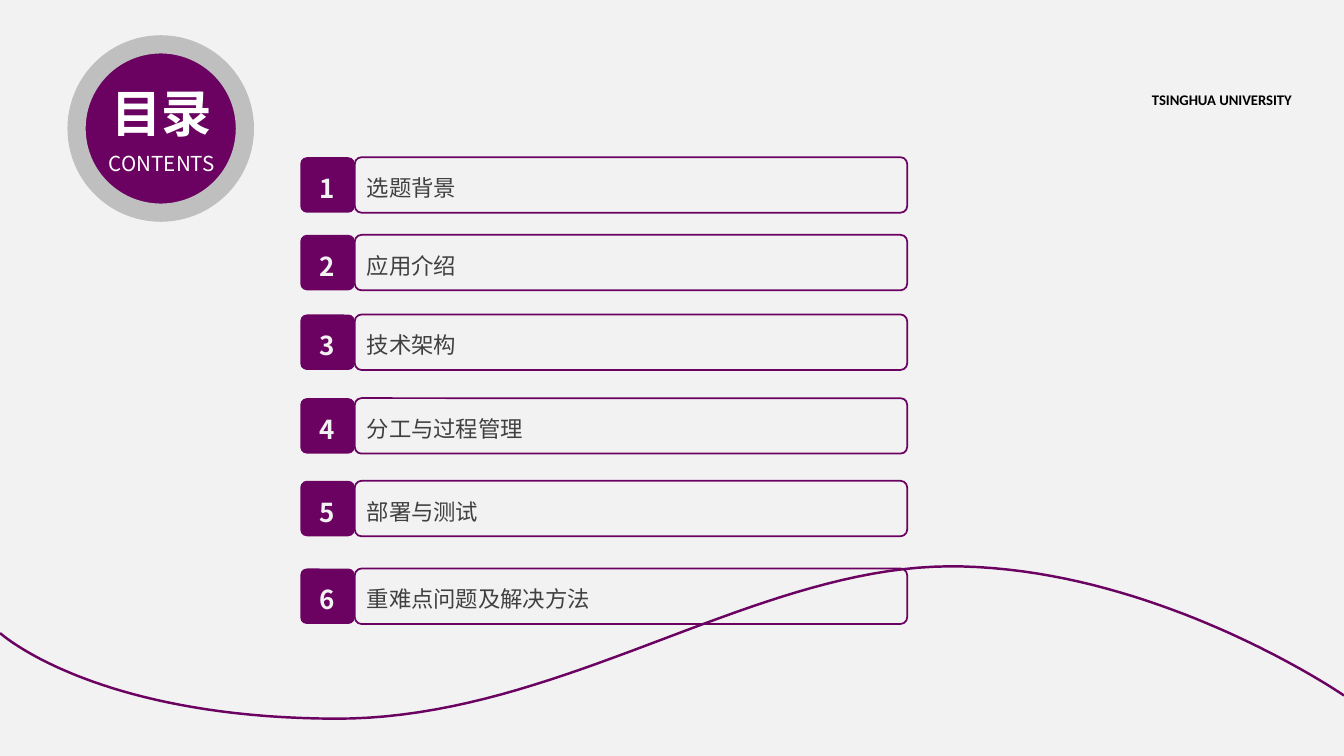
from pptx import Presentation
from pptx.dml.color import RGBColor
from pptx.enum.shapes import MSO_SHAPE
from pptx.enum.text import MSO_ANCHOR, PP_ALIGN
from pptx.oxml.ns import qn
from pptx.util import Inches, Pt

OVAL, ROUND = MSO_SHAPE.OVAL, MSO_SHAPE.ROUNDED_RECTANGLE
LEFT, CENTER, JUST = PP_ALIGN.LEFT, PP_ALIGN.CENTER, PP_ALIGN.JUSTIFY
TOP, MIDDLE = MSO_ANCHOR.TOP, MSO_ANCHOR.MIDDLE

COLORS = {
    "plum": "6B0261",
    "ring": "BFBFBF",
    "paper": "F2F2F2",
    "ink": "404040",
    "white": "FFFFFF",
    "black": "000000",
}
SANS, LATIN = "Noto Sans CJK SC", "Calibri"
COLS, ROWS = 160, 90

TOPICS = [
    ("选题背景", 18.72),
    ("应用介绍", 27.96),
    ("技术架构", 37.44),
    ("分工与过程管理", 47.4),
    ("部署与测试", 57.24),
    ("重难点问题及解决方法", 67.68),
]
TAB_X, BAR_X, END_X, BAR_H = 35.76, 42.24, 108, 6.6
WAVE = [
    [(0, 75.36), (0, 75.36), (11.04, 85.44), (39.84, 85.56)],
    [(39.84, 85.56), (67.08, 85.68), (90.6, 66.72), (114.6, 67.44)],
    [(114.6, 67.44), (138.6, 68.04), (160, 82.8), (160, 82.8)],
]
STEPS = 40


def color(name):
    return RGBColor.from_string(COLORS[name])


def bezier(knots, t):
    weights = ((1 - t) ** 3, 3 * t * (1 - t) ** 2, 3 * t * t * (1 - t), t ** 3)
    return tuple(sum(w * k[axis] for w, k in zip(weights, knots)) for axis in (0, 1))


class Deck:
    def __init__(self):
        self.show = Presentation()
        self.show.slide_width = Inches(40 / 3)
        self.show.slide_height = Inches(7.5)
        self.slide = self.show.slides.add_slide(self.show.slide_layouts[6])
        back = self.slide.background.fill
        back.solid()
        back.fore_color.rgb = color("paper")

    def place(self, x, y):
        return (round(x * self.show.slide_width / COLS),
                round(y * self.show.slide_height / ROWS))

    def paint(self, shape, fill, line, width):
        shape.shadow.inherit = False
        if fill:
            shape.fill.solid()
            shape.fill.fore_color.rgb = color(fill)
        else:
            shape.fill.background()
        if line:
            shape.line.color.rgb = color(line)
            shape.line.width = Pt(width)
        else:
            shape.line.fill.background()

    def shape(self, kind, x, y, w, h, fill=None, line=None, width=1.25):
        shape = self.slide.shapes.add_shape(kind, *self.place(x, y), *self.place(w, h))
        self.paint(shape, fill, line, width)
        return shape

    def letter(self, shape, text, size, ink, bold=False, align=LEFT,
               font=SANS, anchor=MIDDLE, space=1, pad=0.05):
        frame = shape.text_frame
        frame.text = text
        frame.word_wrap = True
        frame.vertical_anchor = anchor
        frame.margin_top = frame.margin_bottom = Inches(pad)
        para = frame.paragraphs[0]
        para.alignment = align
        para.line_spacing = space
        style = para.runs[0].font
        style.name, style.size, style.bold = font, Pt(size), bold
        style.color.rgb = color(ink)
        props = para.runs[0]._r.get_or_add_rPr()
        east = props.makeelement(qn("a:ea"), {"typeface": font})
        props.find(qn("a:latin")).addnext(east)

    def label(self, x, y, w, h, text, size, ink, **style):
        box = self.slide.shapes.add_textbox(*self.place(x, y), *self.place(w, h))
        self.letter(box, text, size, ink, **style)

    def card(self, x, y, w, h, text, size, ink, radius, fill=None, line=None, **style):
        shape = self.shape(ROUND, x, y, w, h, fill, line)
        shape.adjustments[0] = radius
        self.letter(shape, text, size, ink, space=1.2, **style)

    def curve(self, parts, line, width):
        dots = [self.place(*bezier(part, step / STEPS))
                for part in parts for step in range(1, STEPS + 1)]
        build = self.slide.shapes.build_freeform(*self.place(*parts[0][0]))
        build.add_line_segments(dots, close=False)
        self.paint(build.convert_to_shape(), None, line, width)


def main():
    deck = Deck()
    deck.shape(OVAL, 9.12, 5.28, 20.04, 20.04, "plum", "ring", 13)
    deck.label(10.32, 9.12, 17.88, 8.52, "目录", 36, "white",
               bold=True, align=CENTER, pad=0)
    deck.label(9.72, 17.28, 19.08, 4.2, "CONTENTS", 14.7, "white",
               align=CENTER, pad=0)
    deck.curve(WAVE, "plum", 1.75)
    deck.label(135.96, 10.2, 20.04, 3.36, "TSINGHUA UNIVERSITY", 10.5, "black",
               bold=True, align=JUST, font=LATIN, anchor=TOP)
    for number, (topic, y) in enumerate(TOPICS, 1):
        deck.card(BAR_X, y, END_X - BAR_X, BAR_H, topic, 16, "ink", 0.12, line="plum")
        deck.card(TAB_X, y, BAR_X - TAB_X, BAR_H, str(number), 18.6, "paper", 0.12,
                  fill="plum", bold=True, align=CENTER)
    deck.show.save("out.pptx")


if __name__ == "__main__":
    main()
